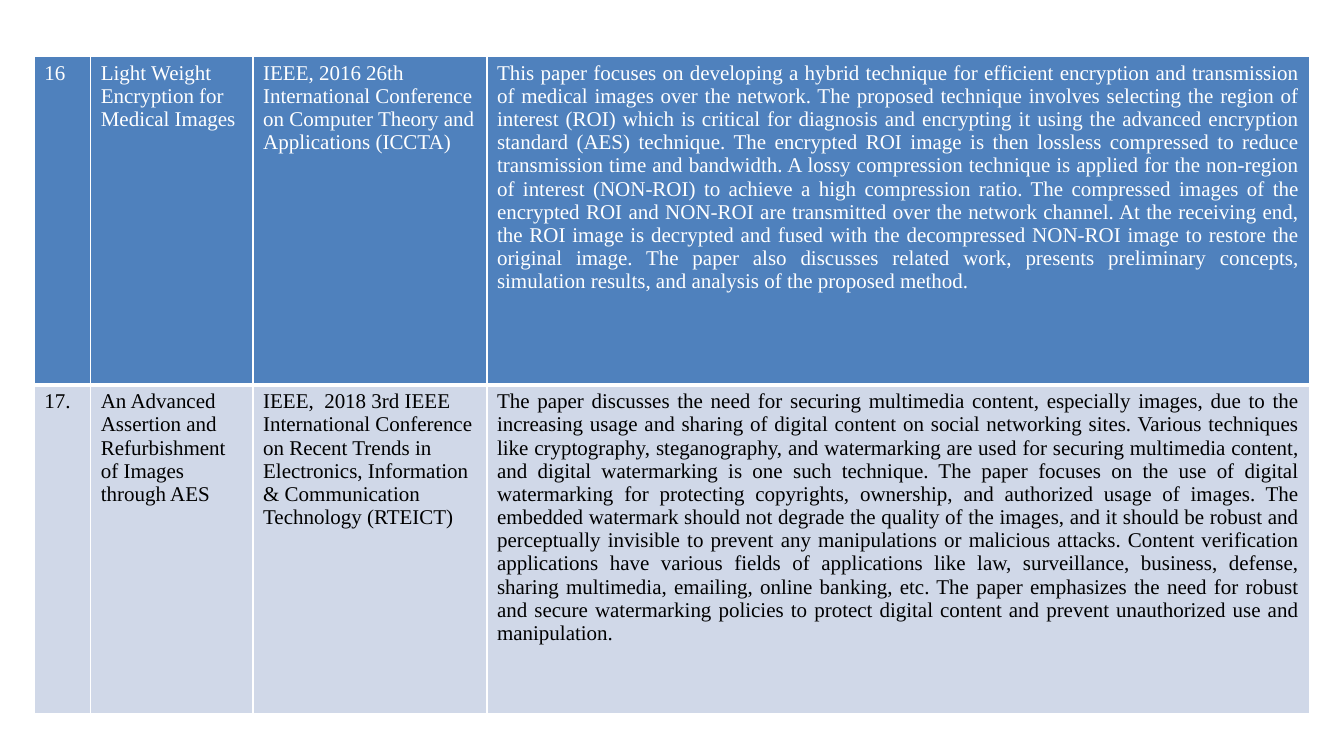
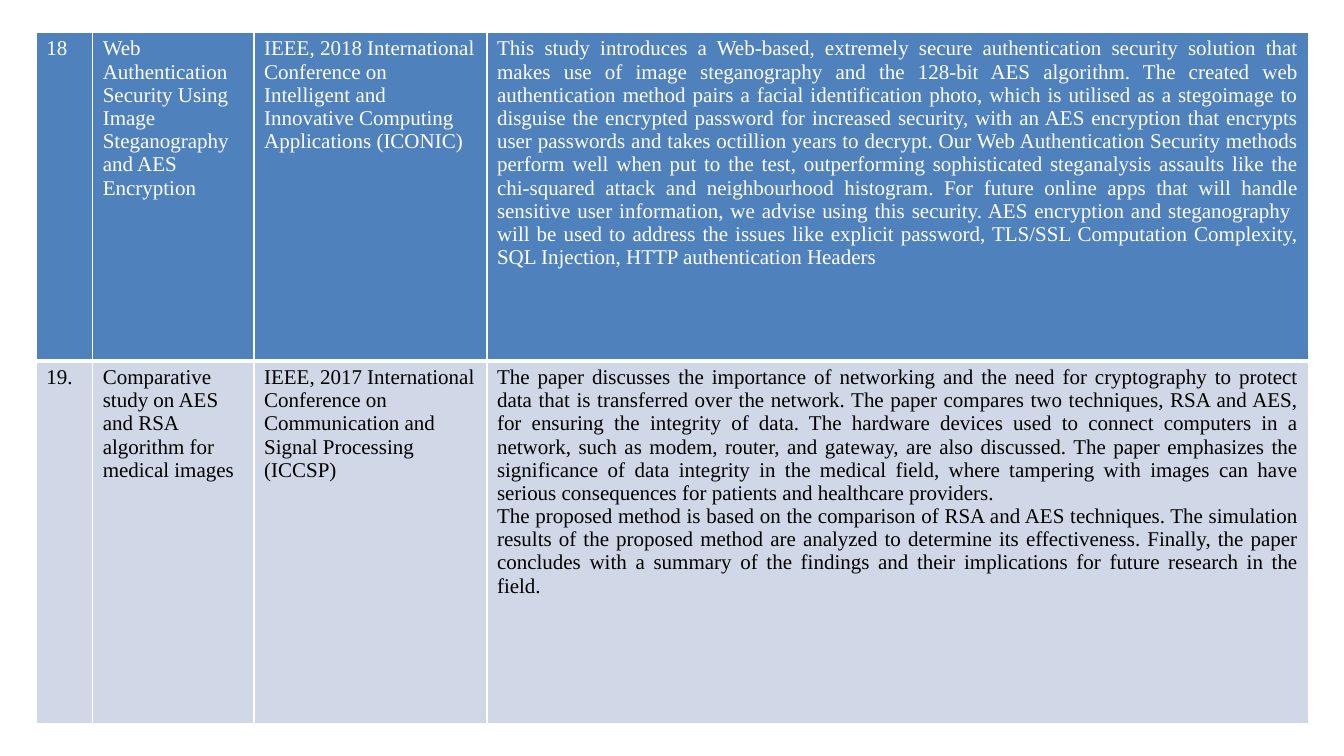
"""Build two literature survey slides, each with a table of two papers."""
from lxml import etree
from pptx import Presentation
from pptx.dml.color import RGBColor
from pptx.enum import text
from pptx.oxml import ns
from pptx.util import Inches, Pt

COLORS = {"head": "4F81BD", "body": "D0D8E8", "white": "FFFFFF", "black": "000000"}
FONT = "Times New Roman"
SIZE = 15
ROW_STYLES = [
    {"fill": "head", "font": "white", "edges": {"lnL": 1, "lnR": 1, "lnT": 1, "lnB": 3}},
    {"fill": "body", "font": "black", "edges": {"lnL": 1, "lnR": 1, "lnT": 3, "lnB": 1}},
]
SURVEYS = [
    {
        "left": 0.34,
        "top": 0.56,
        "cols": [0.56, 1.61, 2.32, 8.16],
        "rows": [3.26, 3.26],
        "papers": [
            {
                "number": "16",
                "title": "Light Weight Encryption for Medical Images",
                "venue": "IEEE, 2016 26th International Conference on Computer Theory and "
                "Applications (ICCTA)",
                "summary": [[
                    "This paper focuses on developing a hybrid technique for efficient "
                    "encryption and transmission of medical images over the network.",
                    "The proposed technique involves selecting the region of interest (ROI) "
                    "which is critical for diagnosis and encrypting it using the advanced "
                    "encryption standard (AES) technique.",
                    "The encrypted ROI image is then lossless compressed to reduce "
                    "transmission time and bandwidth.",
                    "A lossy compression technique is applied for the non-region of interest "
                    "(NON-ROI) to achieve a high compression ratio.",
                    "The compressed images of the encrypted ROI and NON-ROI are transmitted "
                    "over the network channel.",
                    "At the receiving end, the ROI image is decrypted and fused with the "
                    "decompressed NON-ROI image to restore the original image.",
                    "The paper also discusses related work, presents preliminary concepts, "
                    "simulation results, and analysis of the proposed method.",
                ]],
            },
            {
                "number": "17.",
                "title": "An Advanced Assertion and Refurbishment of Images through AES",
                "venue": "IEEE,  2018 3rd IEEE International Conference on Recent Trends in "
                "Electronics, Information & Communication Technology (RTEICT)",
                "summary": [[
                    "The paper discusses the need for securing multimedia content, especially "
                    "images, due to the increasing usage and sharing of digital content on "
                    "social networking sites.",
                    "Various techniques like cryptography, steganography, and watermarking "
                    "are used for securing multimedia content, and digital watermarking is "
                    "one such technique.",
                    "The paper focuses on the use of digital watermarking for protecting "
                    "copyrights, ownership, and authorized usage of images.",
                    "The embedded watermark should not degrade the quality of the images, "
                    "and it should be robust and perceptually invisible to prevent any "
                    "manipulations or malicious attacks.",
                    "Content verification applications have various fields of applications "
                    "like law, surveillance, business, defense, sharing multimedia, "
                    "emailing, online banking, etc.",
                    "The paper emphasizes the need for robust and secure watermarking "
                    "policies to protect digital content and prevent unauthorized use and "
                    "manipulation.",
                ]],
            },
        ],
    },
    {
        "left": 0.36,
        "top": 0.32,
        "cols": [0.56, 1.6, 2.31, 8.15],
        "rows": [3.26, 3.6],
        "papers": [
            {
                "number": "18",
                "title": "Web Authentication Security Using Image Steganography and AES "
                "Encryption",
                "venue": "IEEE, 2018 International Conference on Intelligent and Innovative "
                "Computing Applications (ICONIC)",
                "summary": [[
                    "This study introduces a Web-based, extremely secure authentication "
                    "security solution that makes use of image steganography and the 128-bit "
                    "AES algorithm.",
                    "The created web authentication method pairs a facial identification "
                    "photo, which is utilised as a stegoimage to disguise the encrypted "
                    "password for increased security, with an AES encryption that encrypts "
                    "user passwords and takes octillion years to decrypt.",
                    "Our Web Authentication Security methods perform well when put to the "
                    "test, outperforming sophisticated steganalysis assaults like the "
                    "chi-squared attack and neighbourhood histogram.",
                    "For future online apps that will handle sensitive user information, we "
                    "advise using this security.",
                    "AES encryption and steganography  will be used to address the issues "
                    "like explicit password, TLS/SSL Computation Complexity, SQL Injection, "
                    "HTTP authentication Headers",
                ]],
            },
            {
                "number": "19.",
                "title": "Comparative study on AES and RSA algorithm for medical images",
                "venue": "IEEE, 2017 International Conference on Communication and Signal "
                "Processing (ICCSP)",
                "summary": [
                    [
                        "The paper discusses the importance of networking and the need for "
                        "cryptography to protect data that is transferred over the network.",
                        "The paper compares two techniques, RSA and AES, for ensuring the "
                        "integrity of data.",
                        "The hardware devices used to connect computers in a network, such "
                        "as modem, router, and gateway, are also discussed.",
                        "The paper emphasizes the significance of data integrity in the "
                        "medical field, where tampering with images can have serious "
                        "consequences for patients and healthcare providers.",
                    ],
                    [
                        "The proposed method is based on the comparison of RSA and AES "
                        "techniques.",
                        "The simulation results of the proposed method are analyzed to "
                        "determine its effectiveness.",
                        "Finally, the paper concludes with a summary of the findings and "
                        "their implications for future research in the field.",
                    ],
                ],
            },
        ],
    },
]


def set_borders(cell, edges):
    tc_pr = cell._tc.get_or_add_tcPr()
    for edge, width in edges.items():
        ln = etree.SubElement(tc_pr, ns.qn(f"a:{edge}"), w=str(Pt(width)))
        fill = etree.SubElement(ln, ns.qn("a:solidFill"))
        etree.SubElement(fill, ns.qn("a:srgbClr"), val=COLORS["white"])


def fill_cell(cell, lines, style, align):
    set_borders(cell, style["edges"])
    cell.fill.solid()
    cell.fill.fore_color.rgb = RGBColor.from_string(COLORS[style["fill"]])
    tf = cell.text_frame
    for i, line in enumerate(lines):
        p = tf.add_paragraph() if i else tf.paragraphs[0]
        p.alignment = align
        r = p.add_run()
        r.text = line
        r.font.name = FONT
        r.font.size = Pt(SIZE)
        r.font.bold = False
        r.font.color.rgb = RGBColor.from_string(COLORS[style["font"]])


prs = Presentation()
prs.slide_width = Inches(13.33)
prs.slide_height = Inches(7.5)

for survey in SURVEYS:
    s = prs.slides.add_slide(prs.slide_layouts[6])
    cols, rows = survey["cols"], survey["rows"]
    table = s.shapes.add_table(
        len(rows), len(cols), Inches(survey["left"]), Inches(survey["top"]),
        Inches(sum(cols)), Inches(sum(rows)),
    ).table
    for col, width in zip(table.columns, cols):
        col.width = Inches(width)
    for row, height, paper, style in zip(table.rows, rows, survey["papers"], ROW_STYLES):
        row.height = Inches(height)
        *label_cells, summary_cell = row.cells
        for cell, key in zip(label_cells, ("number", "title", "venue")):
            fill_cell(cell, [paper[key]], style, text.PP_ALIGN.LEFT)
        summary = [" ".join(sentences) for sentences in paper["summary"]]
        fill_cell(summary_cell, summary, style, text.PP_ALIGN.JUSTIFY)

prs.save("out.pptx")
